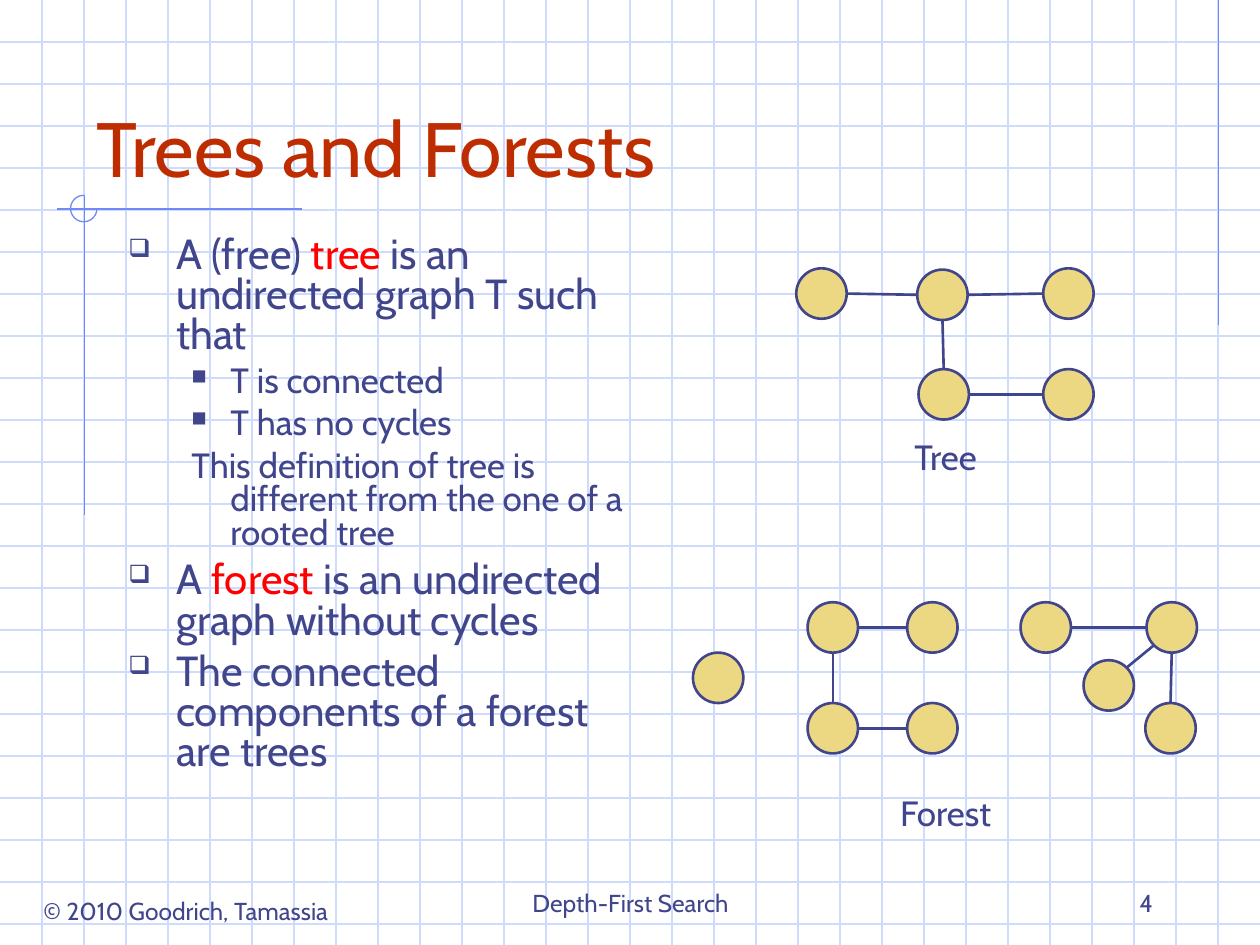
from lxml import etree
from pptx import Presentation
from pptx.dml.color import RGBColor
from pptx.enum.shapes import MSO_CONNECTOR, MSO_SHAPE
from pptx.enum.text import MSO_ANCHOR, PP_ALIGN
from pptx.oxml.ns import qn
from pptx.util import Inches, Pt

STRAIGHT = MSO_CONNECTOR.STRAIGHT
OVAL, ARC = MSO_SHAPE.OVAL, MSO_SHAPE.ARC
TOP, BOTTOM = MSO_ANCHOR.TOP, MSO_ANCHOR.BOTTOM
LEFT, CENTER, RIGHT = PP_ALIGN.LEFT, PP_ALIGN.CENTER, PP_ALIGN.RIGHT

INK = RGBColor(0x40, 0x45, 0x8C)
RUST = RGBColor(0xBE, 0x2D, 0x00)
RED = RGBColor(0xFF, 0x00, 0x00)
SAND = RGBColor(0xEC, 0xD8, 0x82)
GRID = RGBColor(0xCF, 0xDB, 0xFD)
BLUE = RGBColor(0x6F, 0x89, 0xF7)
FONT = "Cabin"

presentation = Presentation()
presentation.slide_width = Inches(10)
presentation.slide_height = Inches(7.5)
slide = presentation.slides.add_slide(presentation.slide_layouts[6])


def add_line(x1, y1, x2, y2, color, width):
    line = slide.shapes.add_connector(
        STRAIGHT, Inches(x1), Inches(y1), Inches(x2), Inches(y2))
    line.line.color.rgb = color
    line.line.width = Pt(width)
    etree.SubElement(line._element.spPr, qn("a:effectLst"))
    return line


def add_run(paragraph, text, size, color):
    run = paragraph.add_run()
    run.text = text
    run.font.name = FONT
    run.font.size = Pt(size)
    run.font.color.rgb = color


for row in range(1, 23):
    add_line(0, row / 3, 10, row / 3, GRID, 0.75)
for column in range(1, 30):
    add_line(column / 3, 0, column / 3, 7.5, GRID, 0.75)

for ends in [(9.67, 0, 9.67, 2.58), (2.4, 1.66, 0.45, 1.66), (0.67, 1.55, 0.67, 4.09)]:
    add_line(*ends, BLUE, 0.75)

arc = slide.shapes.add_shape(ARC, Inches(0.56), Inches(1.55), Inches(0.21), Inches(0.21))
arc.adjustments[0] = 0
arc.adjustments[1] = 162
arc.shadow.inherit = False
arc.fill.background()
arc.line.color.rgb = BLUE
arc.line.width = Pt(0.75)

labels = [
    ("© 2010 Goodrich, Tamassia", 0.12, 7.06, 2.71, 0.34, 14, INK, CENTER, TOP),
    ("Depth-First Search", 3.42, 6.83, 3.17, 0.5, 14, INK, CENTER, BOTTOM),
    ("4", 7.17, 6.83, 2.08, 0.5, 14, INK, RIGHT, BOTTOM),
    ("Trees and Forests", 0.67, 0.33, 8.5, 1.25, 44, RUST, LEFT, BOTTOM),
    ("Tree", 5.94, 3.41, 3.13, 0.44, 20, INK, CENTER, TOP),
    ("Forest", 5.51, 6.23, 3.99, 0.44, 20, INK, CENTER, TOP),
]
for text, left, top, width, height, size, color, alignment, anchor in labels:
    box = slide.shapes.add_textbox(Inches(left), Inches(top), Inches(width), Inches(height))
    box.text_frame.word_wrap = True
    box.text_frame.vertical_anchor = anchor
    paragraph = box.text_frame.paragraphs[0]
    paragraph.alignment = alignment
    add_run(paragraph, text, size, color)

body = [
    (0, "❑", [("A (free) ", INK), ("tree", RED), (" is an undirected graph T such that", INK)]),
    (1, "■", [("T is connected", INK)]),
    (1, "■", [("T has no cycles", INK)]),
    (1, None, [("This definition of tree is different from the one of a rooted tree", INK)]),
    (0, "❑", [("A ", INK), ("forest", RED), (" is an undirected graph without cycles", INK)]),
    (0, "❑", [("The connected components of a forest are trees", INK)]),
]
level_styles = [(24, 0.38, -0.38, 6), (20, 0.81, -0.31, 5)]
box = slide.shapes.add_textbox(Inches(0.92), Inches(1.83), Inches(4.25), Inches(4.92))
box.text_frame.word_wrap = True
for index, (level, bullet, runs) in enumerate(body):
    paragraph = box.text_frame.add_paragraph() if index else box.text_frame.paragraphs[0]
    size, margin, indent, space = level_styles[level]
    properties = paragraph._p.get_or_add_pPr()
    properties.set("marL", str(Inches(margin)))
    properties.set("indent", str(Inches(indent)))
    if bullet:
        bullet_color = etree.SubElement(properties, qn("a:buClr"))
        etree.SubElement(bullet_color, qn("a:srgbClr"), val=str(INK))
        etree.SubElement(properties, qn("a:buSzPct"), val="60000")
        etree.SubElement(properties, qn("a:buChar"), char=bullet)
    paragraph.level = level
    paragraph.line_spacing = 0.8
    if index:
        paragraph.space_before = Pt(space)
    for text, color in runs:
        add_run(paragraph, text, size, color)

node_places = {
    "tree left": (6.32, 2.13), "tree middle": (7.28, 2.14), "tree right": (8.28, 2.13),
    "tree low middle": (7.29, 2.93), "tree low right": (8.28, 2.93),
    "single": (5.5, 5.18),
    "path top left": (6.41, 4.78), "path top right": (7.2, 4.78),
    "path low left": (6.41, 5.58), "path low right": (7.2, 5.58),
    "star left": (8.1, 4.78), "star hub": (9.1, 4.78),
    "star diagonal": (8.6, 5.24), "star low": (9.09, 5.58),
}
nodes = {}
for name, (left, top) in node_places.items():
    node = slide.shapes.add_shape(OVAL, Inches(left), Inches(top), Inches(0.4), Inches(0.4))
    node.shadow.inherit = False
    node.fill.solid()
    node.fill.fore_color.rgb = SAND
    node.line.color.rgb = INK
    node.line.width = Pt(1.5)
    nodes[name] = node

SITE_TOP, SITE_LEFT, SITE_LOW_LEFT, SITE_BOTTOM, SITE_RIGHT, SITE_TOP_RIGHT = 0, 2, 3, 4, 6, 7
ACROSS = (SITE_RIGHT, SITE_LEFT)
DOWN = (SITE_BOTTOM, SITE_TOP)
edges = [
    ("tree left", "tree middle", ACROSS),
    ("tree middle", "tree right", ACROSS),
    ("tree middle", "tree low middle", DOWN),
    ("tree low middle", "tree low right", ACROSS),
    ("path top left", "path top right", ACROSS),
    ("path top left", "path low left", DOWN),
    ("path low left", "path low right", ACROSS),
    ("star left", "star hub", ACROSS),
    ("star hub", "star low", DOWN),
    ("star diagonal", "star hub", (SITE_TOP_RIGHT, SITE_LOW_LEFT)),
]
for start, end, (start_site, end_site) in edges:
    (x1, y1), (x2, y2) = [
        (left + dx, top + dy)
        for (left, top), (dx, dy) in zip(
            (node_places[start], node_places[end]),
            [{SITE_TOP: (0.2, 0), SITE_LEFT: (0, 0.2), SITE_LOW_LEFT: (0.06, 0.34),
              SITE_BOTTOM: (0.2, 0.4), SITE_RIGHT: (0.4, 0.2),
              SITE_TOP_RIGHT: (0.34, 0.06)}[site] for site in (start_site, end_site)])
    ]
    edge = add_line(x1, y1, x2, y2, INK, 1.5)
    edge._element.nvCxnSpPr.cNvCxnSpPr.add_stCxn(nodes[start].shape_id, start_site) \
        if hasattr(edge._element.nvCxnSpPr.cNvCxnSpPr, "add_stCxn") else None

presentation.save("out.pptx")
